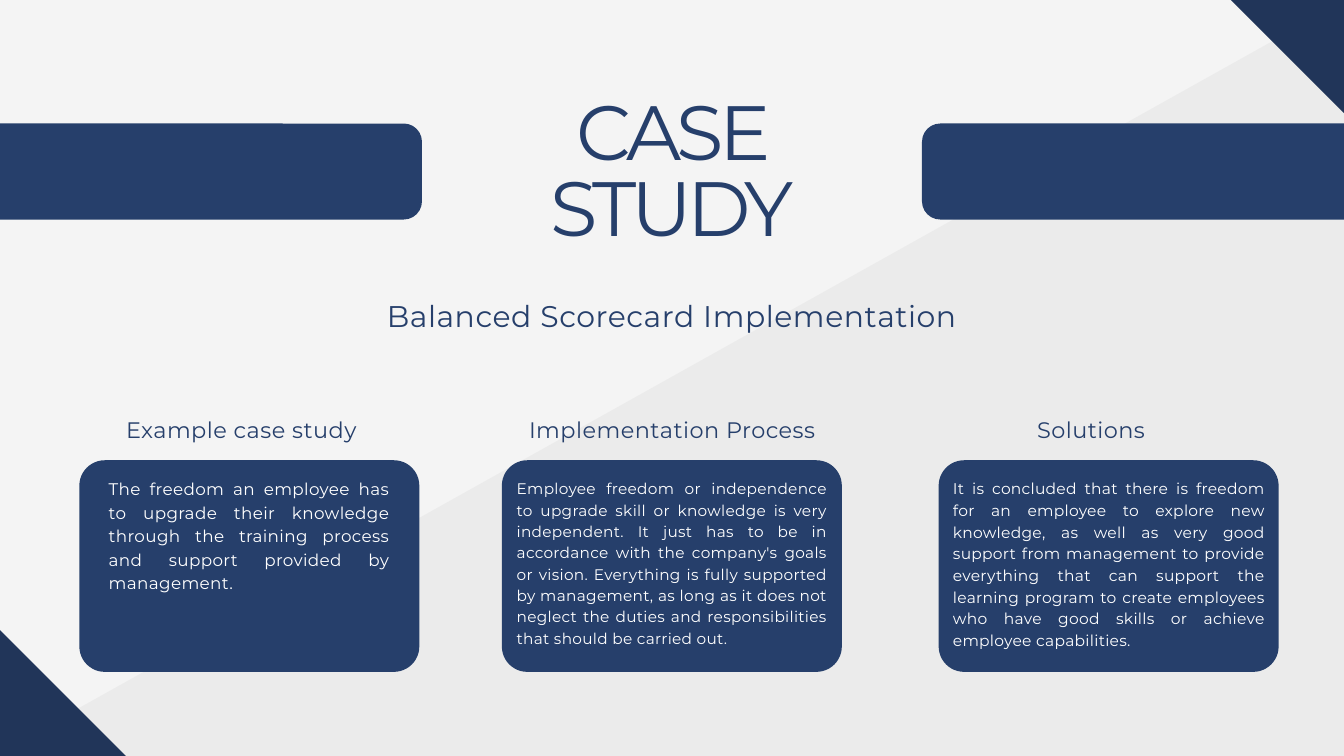
from dataclasses import dataclass

from lxml import etree
from pptx import Presentation
from pptx import util as u
from pptx.dml.color import RGBColor
from pptx.enum import shapes, text
from pptx.oxml.ns import qn


@dataclass(frozen=True)
class Theme:
    font: str = "Montserrat"
    paper: str = "F4F4F4"
    wash: str = "545454"
    corner: str = "213559"
    navy: str = "263F6B"
    white: str = "FFFFFF"
    # type styles: size, line spacing, letter spacing in points
    title: tuple = (82.4, 80.7, -4.8)
    subtitle: tuple = (32, 60.8, 0.6)
    heading: tuple = (24, 45.6, 0.5)
    body_large: tuple = (18, 25.2, 0.4)
    body: tuple = (16.4, 22.9, 0.3)
    body_wide: tuple = (16.6, 23.2, 0.3)


class Deck:
    def __init__(self, theme):
        self.theme = theme
        self.prs = Presentation()
        self.prs.slide_width = u.Cm(50.8)
        self.prs.slide_height = u.Cm(28.58)
        self.slide = None

    def add_slide(self):
        self.slide = self.prs.slides.add_slide(self.prs.slide_layouts[6])
        fill = self.slide.background.fill
        fill.solid()
        fill.fore_color.rgb = RGBColor.from_string(self.theme.paper)

    def block(self, box, color, kind=shapes.MSO_SHAPE.RECTANGLE, rotation=0, alpha=None):
        """Plain filled shape; alpha is the opacity in percent."""
        sp = self.slide.shapes.add_shape(kind, *map(u.Cm, box))
        sp.shadow.inherit = False
        sp.rotation = rotation
        sp.fill.solid()
        sp.fill.fore_color.rgb = RGBColor.from_string(color)
        sp.line.fill.background()
        if alpha is not None:
            clr = sp._element.spPr.find(qn("a:solidFill"))[0]
            etree.SubElement(clr, qn("a:alpha")).set("val", str(alpha * 1000))
        return sp

    def rounded(self, box, radius):
        sp = self.block(box, self.theme.navy, shapes.MSO_SHAPE.ROUNDED_RECTANGLE)
        sp.adjustments[0] = radius / min(box[2:])

    def label(self, box, words, style, color, align=text.PP_ALIGN.CENTER):
        size, leading, tracking = style
        tf = self.slide.shapes.add_textbox(*map(u.Cm, box)).text_frame
        tf.word_wrap = True
        tf.margin_left = tf.margin_right = tf.margin_top = tf.margin_bottom = 0
        p = tf.paragraphs[0]
        p.alignment = align
        p.line_spacing = u.Pt(leading)
        r = p.add_run()
        r.text = words
        r.font.name = self.theme.font
        r.font.size = u.Pt(size)
        r.font.color.rgb = RGBColor.from_string(color)
        r._r.get_or_add_rPr().set("spc", str(round(tracking * 100)))


def main():
    th = Theme()
    deck = Deck(th)
    deck.add_slide()

    deck.block((-3.1, 12.09, 71.63, 26.62), th.wash, rotation=330.8, alpha=5)
    for corner in ((-7.39, 25.2, 14.71, 6.81), (43.61, -3.38, 14.71, 6.48)):
        deck.block(corner, th.corner, rotation=45)
    for left in (-6.99, 34.85):
        deck.rounded((left, 4.67, 22.94, 3.63), radius=0.69)

    deck.label((17.15, 3.81, 16.48, 5.82), "CASE STUDY", th.title, th.navy)
    deck.label((13.69, 10.46, 23.42, 1.93), "Balanced Scorecard Implementation",
               th.subtitle, th.navy)

    # card left, heading, heading left and width, body box, body style, body
    columns = [
        (3, "Example case study", 2.84, 12.57, (4.11, 17.98, 10.62, 4.34), th.body_large,
         "The freedom an employee has to upgrade their knowledge through the "
         "training process and support provided by management."),
        (18.97, "Implementation Process", 18.21, 14.4, (19.53, 18.01, 11.73, 6.3), th.body,
         "Employee freedom or independence to upgrade skill or knowledge is very "
         "independent. It just has to be in accordance with the company's goals or "
         "vision. Everything is fully supported by management, as long as it does "
         "not neglect the duties and responsibilities that should be carried out."),
        (35.48, "Solutions", 33.76, 14.96, (36.02, 18.01, 11.79, 6.2), th.body_wide,
         "It is concluded that there is freedom for an employee to explore new "
         "knowledge, as well as very good support from management to provide "
         "everything that can support the learning program to create employees "
         "who have good skills or achieve employee capabilities."),
    ]
    for card_left, heading, left, width, body_box, style, body in columns:
        deck.rounded((card_left, 17.4, 12.85, 8), radius=0.96)
        deck.label((left, 15.14, width, 1.42), heading, th.heading, th.navy)
        deck.label(body_box, body, style, th.white, text.PP_ALIGN.JUSTIFY)

    deck.prs.save("out.pptx")


if __name__ == "__main__":
    main()
